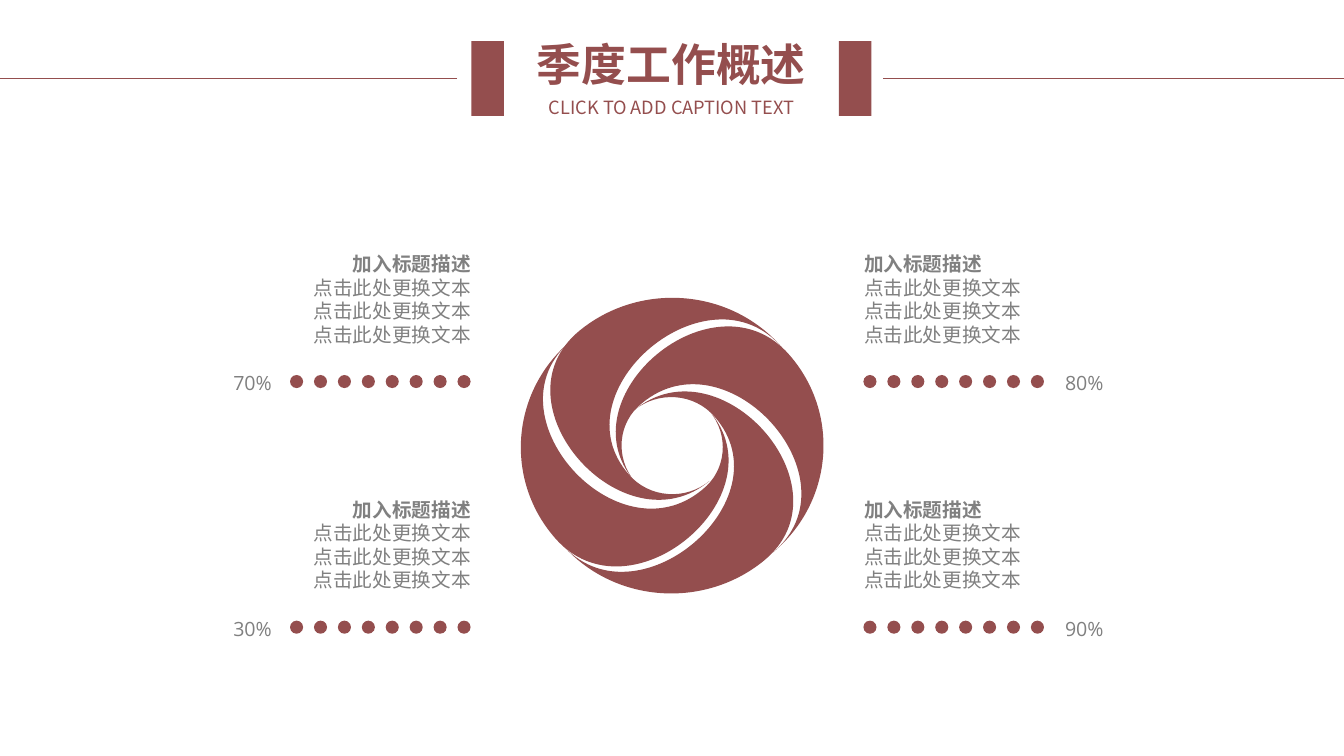
from lxml import etree
from pptx import Presentation
from pptx.dml.color import RGBColor
from pptx.enum.shapes import MSO_CONNECTOR, MSO_SHAPE
from pptx.enum.text import MSO_ANCHOR, MSO_AUTO_SIZE, PP_ALIGN
from pptx.oxml.ns import qn
from pptx.util import Cm, Pt

TITLE = "季度工作概述"
CAPTION = "CLICK TO ADD CAPTION TEXT"
LINES = ["加入标题描述"] + ["点击此处更换文本"] * 3
PERCENTS = {"right": ["80%", "90%"], "left": ["70%", "30%"]}

RED, GRAY = "944E4E", "808080"
CJK, LATIN = "Noto Sans CJK SC", "Open Sans"

SIDES = {
    "right": dict(text=21.52, dots=21.76, percent=26.59, align=PP_ALIGN.LEFT),
    "left": dict(text=2.95, dots=7.31, percent=5.63, align=PP_ALIGN.RIGHT),
}
TEXT_TOP, DOT_TOP, PERCENT_TOP, ROW_STEP = 6.22, 9.45, 9.22, 6.19
DOT_COUNT, DOT_SIZE, DOT_SPAN = 8, 0.33, 4.22

BARS = [11.88, 21.14]
RULES = [(11.52, 0), (33.87, 22.25)]

BLADES = [
    ((16.93, 11.23),
     [(19.71, 8.76), (18.42, 7.26), (16.13, 7.09), (14.61, 8.33),
      (12.37, 10.16), (15.72, 13.92), (17.88, 12.12),
      (17.27, 12.62), (16.36, 12.55), (15.85, 11.96),
      (14.0, 9.86), (17.86, 6.6), (19.71, 8.76)]),
    ((16.94, 11.25),
     [(19.48, 13.92), (21.01, 12.65), (21.18, 10.41), (19.89, 8.94),
      (18.01, 6.78), (14.17, 10.01), (16.0, 12.14),
      (15.49, 11.53), (15.57, 10.64), (16.18, 10.16),
      (18.34, 8.36), (21.67, 12.09), (19.48, 13.92)]),
]


def rgb(value):
    return RGBColor.from_string(value)


def paint(shape):
    shape.shadow.inherit = False
    shape.fill.solid()
    shape.fill.fore_color.rgb = rgb(RED)
    shape.line.fill.background()


def add_shape(s, kind, x, y, w, h):
    paint(s.shapes.add_shape(kind, Cm(x), Cm(y), Cm(w), Cm(h)))


def place(shape, x, y, w, h):
    shape.left, shape.top, shape.width, shape.height = Cm(x), Cm(y), Cm(w), Cm(h)


def write(shape, lines, size, font, color, align, bold_first=False, wrap=True):
    tf = shape.text_frame
    tf.text = "\n".join(lines)
    tf.word_wrap = wrap
    tf.auto_size = MSO_AUTO_SIZE.SHAPE_TO_FIT_TEXT
    tf.vertical_anchor = MSO_ANCHOR.TOP
    for i, p in enumerate(tf.paragraphs):
        p.alignment = align
        p.space_before = Pt(0)
        r = p.runs[0]
        r.font.size = Pt(size)
        r.font.bold = bold_first and i == 0
        r.font.color.rgb = rgb(color)
        r.font.name = font
        etree.SubElement(r.font._element, qn("a:ea"), typeface=font)
    return tf


def remove_bullets(tf):
    for p in tf.paragraphs:
        pPr = p._p.get_or_add_pPr()
        pPr.set("marL", "0")
        pPr.set("indent", "0")
        etree.SubElement(pPr, qn("a:buNone"))


def add_heading(s):
    caption = s.shapes.add_textbox(0, 0, 0, 0)
    for shape, text, y, h, size, bold in [
        (s.shapes.title, TITLE, 0.91, 1.37, 32, True),
        (caption, CAPTION, 2.41, 0.56, 13, False),
    ]:
        place(shape, 12.4, y, 9.04, h)
        tf = write(shape, [text], size, CJK, RED, PP_ALIGN.CENTER, bold)
        tf.vertical_anchor = MSO_ANCHOR.MIDDLE
        tf.margin_left = tf.margin_right = tf.margin_top = tf.margin_bottom = 0
    for x in BARS:
        add_shape(s, MSO_SHAPE.RECTANGLE, x, 1.04, 0.82, 1.88)
    for x1, x2 in RULES:
        rule = s.shapes.add_connector(
            MSO_CONNECTOR.STRAIGHT, Cm(x1), Cm(1.98), Cm(x2), Cm(1.98))
        rule.line.color.rgb = rgb(RED)
        rule.line.width = Pt(0.5)
        etree.SubElement(rule._element.spPr, qn("a:effectLst"))


def add_blade(s, nodes):
    start, *rest = [(Cm(x), Cm(y)) for x, y in nodes]
    builder = s.shapes.build_freeform(*start)
    builder.add_line_segments(rest, close=True)
    blade = builder.convert_to_shape()
    segments = list(blade._element.iter(qn("a:lnTo")))
    for i in range(0, len(rest), 3):
        curve = etree.Element(qn("a:cubicBezTo"))
        segments[i].addprevious(curve)
        for segment in segments[i:i + 3]:
            curve.append(segment[0])
            segment.getparent().remove(segment)
    paint(blade)


def add_block(s, body, side, row, percent):
    dy = row * ROW_STEP
    place(body, side["text"], TEXT_TOP + dy, 9.17, 3.25)
    remove_bullets(write(body, LINES, 14, CJK, GRAY, side["align"], True))
    for i in range(DOT_COUNT):
        add_shape(s, MSO_SHAPE.OVAL, side["dots"] + i * DOT_SPAN / (DOT_COUNT - 1),
                  DOT_TOP + dy, DOT_SIZE, DOT_SIZE)
    label = s.shapes.add_textbox(
        Cm(side["percent"]), Cm(PERCENT_TOP + dy), Cm(1.5), Cm(0.86))
    write(label, [percent], 14, LATIN, GRAY, PP_ALIGN.LEFT, wrap=False)


def main():
    prs = Presentation()
    prs.slide_width, prs.slide_height = Cm(33.87), Cm(19.05)
    s = prs.slides.add_slide(prs.slide_layouts.get_by_name("Comparison"))
    add_heading(s)
    for (cx, cy), nodes in BLADES:
        add_blade(s, nodes)
        add_blade(s, [(2 * cx - x, 2 * cy - y) for x, y in nodes])
    bodies = iter(list(s.placeholders)[1:5])
    for name, percents in PERCENTS.items():
        for row, percent in enumerate(percents):
            add_block(s, next(bodies), SIDES[name], row, percent)
    prs.save("out.pptx")


if __name__ == "__main__":
    main()
